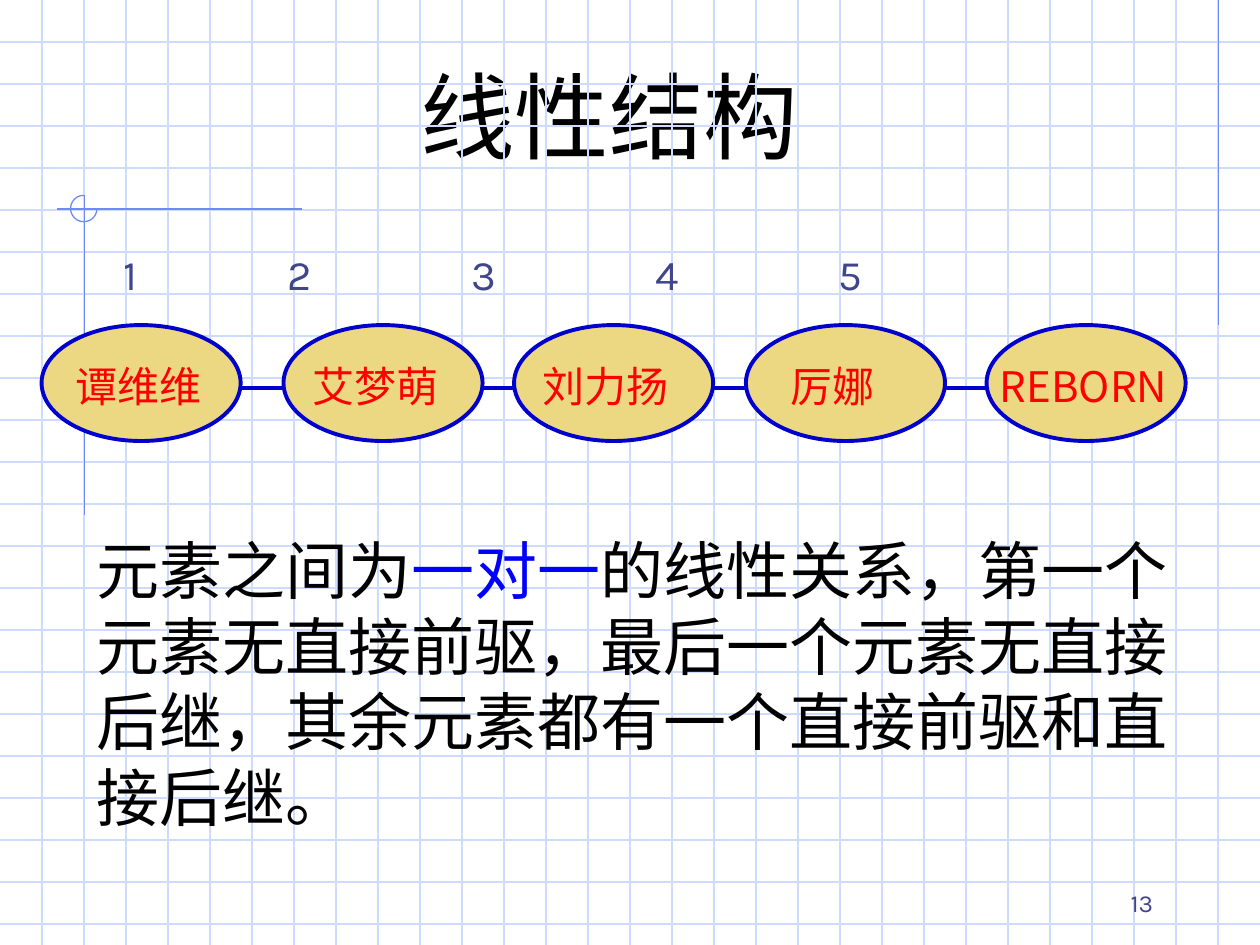
"""Build the slide on linear structures: a chain of five linked elements on a squared sheet."""
from lxml.etree import SubElement
from pptx import Presentation
from pptx.dml.color import RGBColor
from pptx.enum.shapes import MSO_CONNECTOR, MSO_SHAPE
from pptx.enum.text import MSO_ANCHOR, PP_ALIGN
from pptx.oxml.ns import qn
from pptx.util import Inches, Pt

COLORS = {
    "grid": "CFDBFD", "accent": "6F89F7", "node": "ECD882", "link": "0000CC",
    "name": "FF0000", "number": "40458C", "text": "000000", "highlight": "0000FF",
}
WIDTH, HEIGHT, GRID_STEP = 10, 7.5, 1 / 3
NODE_TOP, NODE_WIDTH, NODE_HEIGHT, LINK_Y = 2.58, 1.58, 0.92, 3.08


def add_line(shapes, x1, y1, x2, y2, color, width=0.75):
    line = shapes.add_connector(
        MSO_CONNECTOR.STRAIGHT, Inches(x1), Inches(y1), Inches(x2), Inches(y2))
    line.line.color.rgb = RGBColor.from_string(COLORS[color])
    line.line.width = Pt(width)
    SubElement(line._element.spPr, qn("a:effectLst"))


def add_text(left, top, width, height, text, size, font, color, align=PP_ALIGN.LEFT, wrap=True):
    box = slide.shapes.add_textbox(Inches(left), Inches(top), Inches(width), Inches(height))
    box.text_frame.word_wrap = wrap
    paragraph = box.text_frame.paragraphs[0]
    paragraph.text = text
    paragraph.alignment = align
    paragraph.font.size = Pt(size)
    paragraph.font.name = font
    paragraph.font.color.rgb = RGBColor.from_string(COLORS[color])
    return box


presentation = Presentation()
presentation.slide_width, presentation.slide_height = Inches(WIDTH), Inches(HEIGHT)
slide = presentation.slides.add_slide(presentation.slide_layouts[5])

grid = slide.shapes.add_group_shape().shapes
for row in range(1, 23):
    add_line(grid, 0, row * GRID_STEP, WIDTH, row * GRID_STEP, "grid")
for column in range(1, 30):
    add_line(grid, column * GRID_STEP, 0, column * GRID_STEP, HEIGHT, "grid")

for ends in ((9.67, 0, 9.67, 2.58), (2.4, 1.66, 0.45, 1.66), (0.67, 1.55, 0.67, 4.09)):
    add_line(slide.shapes, *ends, "accent")
arc = slide.shapes.add_shape(
    MSO_SHAPE.ARC, Inches(0.56), Inches(1.55), Inches(0.21), Inches(0.21))
arc.adjustments[0], arc.adjustments[1] = 0, 162
arc.shadow.inherit = False
arc.fill.background()
arc.line.color.rgb = RGBColor.from_string(COLORS["accent"])
arc.line.width = Pt(0.75)

page_number = add_text(7.17, 6.83, 2.08, 0.5, "13", 14, "Karla", "number", PP_ALIGN.RIGHT)
page_number.text_frame.vertical_anchor = MSO_ANCHOR.BOTTOM

title = slide.shapes.title
title.left, title.top, title.width, title.height = map(Inches, (0.82, 0.61, 8.03, 0.8))
title.text_frame.text = "线性结构"
title.text_frame.vertical_anchor = MSO_ANCHOR.BOTTOM
title_paragraph = title.text_frame.paragraphs[0]
title_paragraph.alignment = PP_ALIGN.CENTER
title_paragraph.font.size = Pt(54)
title_paragraph.font.name = "Comic Neue"
title_paragraph.font.color.rgb = RGBColor.from_string(COLORS["text"])

names = ["谭维维", "艾梦萌", "刘力扬", "厉娜", "REBORN"]
node_lefts = [0.33, 2.25, 4.08, 5.92, 7.83]
label_centers = [1.1, 2.98, 4.81, 6.61, 8.6]
label_widths = [1.2, 1.2, 1.2, 1.2, 1.53]
for name, left, center, width in zip(names, node_lefts, label_centers, label_widths):
    node = slide.shapes.add_shape(
        MSO_SHAPE.OVAL, Inches(left), Inches(NODE_TOP), Inches(NODE_WIDTH), Inches(NODE_HEIGHT))
    node.shadow.inherit = False
    node.fill.solid()
    node.fill.fore_color.rgb = RGBColor.from_string(COLORS["node"])
    node.line.color.rgb = RGBColor.from_string(COLORS["link"])
    node.line.width = Pt(2.25)
    add_text(center - width / 2, 2.81, width, 0.5, name, 24, "Noto Sans CJK SC", "name",
             PP_ALIGN.CENTER, wrap=False)
for left, next_left in zip(node_lefts, node_lefts[1:]):
    add_line(slide.shapes, left + NODE_WIDTH, LINK_Y, next_left, LINK_Y, "link", 2.25)

numbers = add_text(0.5, 1.92, 9.17, 0.5, "\t1\t2\t3\t4\t5", 24, "Karla", "number")
properties = numbers.text_frame.paragraphs[0]._p.get_or_add_pPr()
tab_list = properties.makeelement(qn("a:tabLst"))
properties.insert(0, tab_list)
for position in (0.44, 1.78, 3.24, 4.7, 6.15):
    SubElement(tab_list, qn("a:tab"), pos=str(Inches(position)), algn="ctr")

body = add_text(0.67, 4.17, 8.98, 2.5, "元素之间为", 36, "Karla", "text")
body_paragraph = body.text_frame.paragraphs[0]
highlight = body_paragraph.add_run()
highlight.text = "一对一"
highlight.font.color.rgb = RGBColor.from_string(COLORS["highlight"])
body_paragraph.add_run().text = (
    "的线性关系，第一个元素无直接前驱，最后一个元素无直接后继，"
    "其余元素都有一个直接前驱和直接后继。")

presentation.save("out.pptx")
